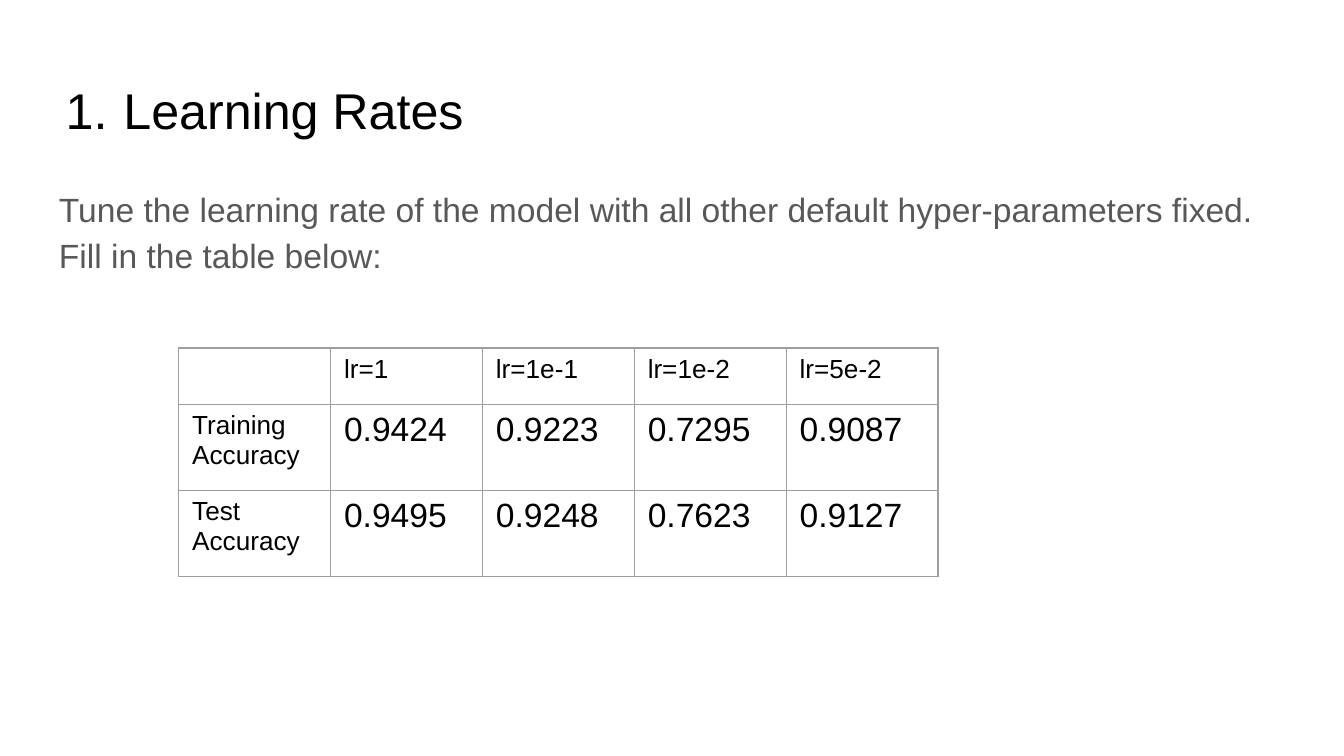
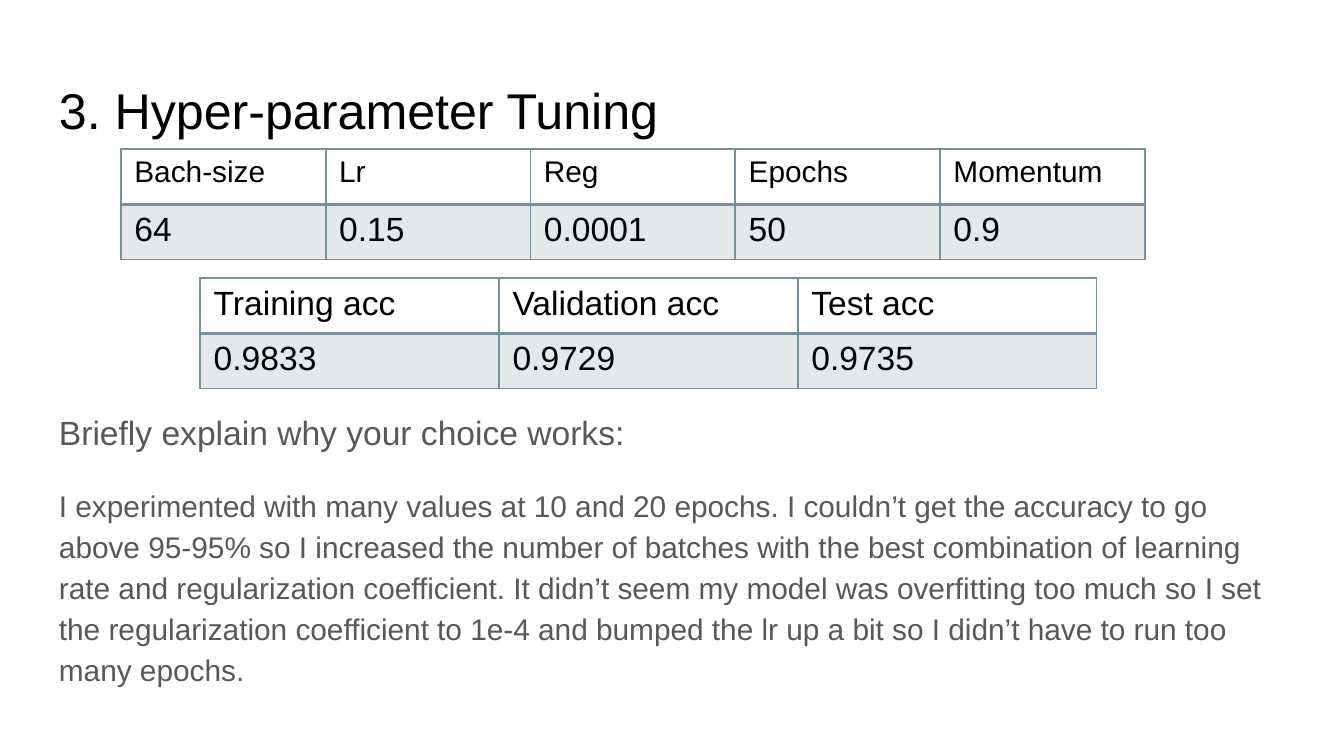
from dataclasses import dataclass

from pptx import Presentation
from pptx.dml.color import RGBColor
from pptx.enum.text import MSO_ANCHOR as Anchor
from pptx.oxml import parse_xml
from pptx.oxml.ns import nsdecls, qn
from pptx.util import Inches, Pt


@dataclass(frozen=True)
class Theme:
    font: str = "Arial"
    background: str = "FFFFFF"
    ink: str = "000000"
    body: str = "585858"
    grid: str = "9E9E9E"
    accent: str = "78909C"
    tint: int = 20  # opacity of result rows, percent
    title_size: float = 26.9
    text_size: float = 18
    detail_size: float = 16
    label_size: float = 14


THEME = Theme()

# Content
LEARNING_RATES = {
    "title": "Learning Rates",
    "body": [("Tune the learning rate of the model with all other default "
              "hyper-parameters fixed. Fill in the table below:", THEME.text_size)],
    "rows": [
        ["", "lr=1", "lr=1e-1", "lr=1e-2", "lr=5e-2"],
        ["Training Accuracy", "0.9424", "0.9223", "0.7295", "0.9087"],
        ["Test Accuracy", "0.9495", "0.9248", "0.7623", "0.9127"],
    ],
}
TUNING = {
    "title": "3. Hyper-parameter Tuning",
    "body": [
        ("Briefly explain why your choice works:", THEME.text_size),
        ("I experimented with many values at 10 and 20 epochs. I couldn’t get the "
         "accuracy to go above 95-95% so I increased the number of batches with the "
         "best combination of learning rate and regularization coefficient. It didn’t "
         "seem my model was overfitting too much so I set the regularization "
         "coefficient to 1e-4 and bumped the lr up a bit so I didn’t have to run too "
         "many epochs.", THEME.detail_size),
    ],
    "settings": [["Bach-size", "Lr", "Reg", "Epochs", "Momentum"],
                 ["64", "0.15", "0.0001", "50", "0.9"]],
    "results": [["Training acc", "Validation acc", "Test acc"],
                ["0.9833", "0.9729", "0.9735"]],
}

# Shared layout, in inches
SLIDE_WIDTH = 10
SLIDE_HEIGHT = SLIDE_WIDTH * 9 / 16
MARGIN, CONTENT_WIDTH = 0.34, 9.32
TITLE_TOP, TITLE_HEIGHT = 0.49, 0.63
BODY_TOP, BODY_HEIGHT = 1.26, 3.74
INSET = 0.1


def write(paragraph, text, size=THEME.text_size, color=THEME.ink,
          line_spacing=None, space_before=None):
    """Put one formatted run of text in a paragraph."""
    run = paragraph.add_run()
    run.text = text
    run.font.name = THEME.font
    run.font.size = Pt(size)
    run.font.color.rgb = RGBColor.from_string(color)
    if line_spacing:
        paragraph.line_spacing = line_spacing
    if space_before is not None:
        paragraph.space_before = Pt(space_before)


def add_text_frame(slide, top, height, top_inset=INSET):
    box = slide.shapes.add_textbox(Inches(MARGIN), Inches(top),
                                   Inches(CONTENT_WIDTH), Inches(height))
    frame = box.text_frame
    frame.word_wrap = True
    frame.vertical_anchor = Anchor.TOP
    frame.margin_left = frame.margin_right = frame.margin_bottom = Inches(INSET)
    frame.margin_top = Inches(top_inset)
    return frame


def number_paragraph(paragraph):
    """Give a paragraph an automatic number with a hanging indent."""
    properties = paragraph._p.get_or_add_pPr()
    properties.set("marL", str(Inches(0.48)))
    properties.set("indent", str(Inches(-0.43)))
    for xml in (f'<a:buClr {nsdecls("a")}><a:srgbClr val="{THEME.ink}"/></a:buClr>',
                f'<a:buFont {nsdecls("a")} typeface="{THEME.font}"/>',
                f'<a:buAutoNum {nsdecls("a")} type="arabicPeriod"/>'):
        properties.append(parse_xml(xml))


def add_title(slide, text, numbered=False):
    paragraph = add_text_frame(slide, TITLE_TOP, TITLE_HEIGHT).paragraphs[0]
    write(paragraph, text, size=THEME.title_size)
    if numbered:
        number_paragraph(paragraph)


def add_body(slide, paragraphs, top_inset=INSET):
    frame = add_text_frame(slide, BODY_TOP, BODY_HEIGHT, top_inset)
    for index, (text, size) in enumerate(paragraphs):
        paragraph = frame.add_paragraph() if index else frame.paragraphs[0]
        write(paragraph, text, size=size, color=THEME.body,
              line_spacing=1.15, space_before=16 if index else 0)


def set_borders(cell, color, width, top, bottom):
    properties = cell._tc.get_or_add_tcPr()
    sides = {"lnL": width, "lnR": width, "lnT": top, "lnB": bottom}
    for index, (side, points) in enumerate(sides.items()):
        properties.insert(index, parse_xml(
            f'<a:{side} {nsdecls("a")} w="{Pt(points)}"><a:solidFill>'
            f'<a:srgbClr val="{color}"/></a:solidFill></a:{side}>'))


def tint_cell(cell):
    cell.fill.solid()
    cell.fill.fore_color.rgb = RGBColor.from_string(THEME.accent)
    color = cell._tc.tcPr.find(".//" + qn("a:srgbClr"))
    color.append(parse_xml(f'<a:alpha {nsdecls("a")} val="{THEME.tint * 1000}"/>'))


def add_grid(slide, rows, left, top, width, heights, header_size, label_size=None,
             border=THEME.accent, line=1, header_line=2, tinted=True):
    """Add a table with equal columns; label_size formats the first column."""
    column_count = len(rows[0])
    table = slide.shapes.add_table(len(rows), column_count, Inches(left), Inches(top),
                                   Inches(width), Inches(sum(heights))).table
    table.first_row = table.horz_banding = False
    for column in table.columns:
        column.width = Inches(width / column_count)
    for row_index, (values, height) in enumerate(zip(rows, heights)):
        table.rows[row_index].height = Inches(height)
        is_header = row_index == 0
        top_line = header_line if row_index == 1 else line
        bottom_line = header_line if is_header else line
        for column_index, text in enumerate(values):
            cell = table.cell(row_index, column_index)
            if tinted and not is_header:
                tint_cell(cell)
            else:
                cell.fill.background()
            set_borders(cell, border, line, top_line, bottom_line)
            size = header_size if is_header else THEME.text_size
            if label_size and column_index == 0:
                size = label_size
            if text:
                write(cell.text_frame.paragraphs[0], text, size=size)


def add_slide(presentation):
    slide = presentation.slides.add_slide(presentation.slide_layouts[6])
    slide.background.fill.solid()
    slide.background.fill.fore_color.rgb = RGBColor.from_string(THEME.background)
    return slide


def build_learning_rates(presentation):
    slide = add_slide(presentation)
    add_title(slide, LEARNING_RATES["title"], numbered=True)
    add_body(slide, LEARNING_RATES["body"])
    add_grid(slide, LEARNING_RATES["rows"], 1.33, 2.59, 5.65, [0.42, 0.64, 0.64],
             header_size=THEME.label_size, label_size=THEME.label_size,
             border=THEME.grid, line=0.75, header_line=0.75, tinted=False)


def build_tuning(presentation):
    slide = add_slide(presentation)
    add_title(slide, TUNING["title"])
    # The text starts below both tables
    add_body(slide, TUNING["body"], top_inset=1.76)
    heights = [0.41, 0.41]
    add_grid(slide, TUNING["settings"], 0.9, 1.11, 7.62, heights,
             header_size=THEME.detail_size)
    add_grid(slide, TUNING["results"], 1.49, 2.07, 6.67, heights,
             header_size=THEME.text_size)


def main():
    presentation = Presentation()
    presentation.slide_width = Inches(SLIDE_WIDTH)
    presentation.slide_height = Inches(SLIDE_HEIGHT)
    build_learning_rates(presentation)
    build_tuning(presentation)
    presentation.save("out.pptx")


if __name__ == "__main__":
    main()
